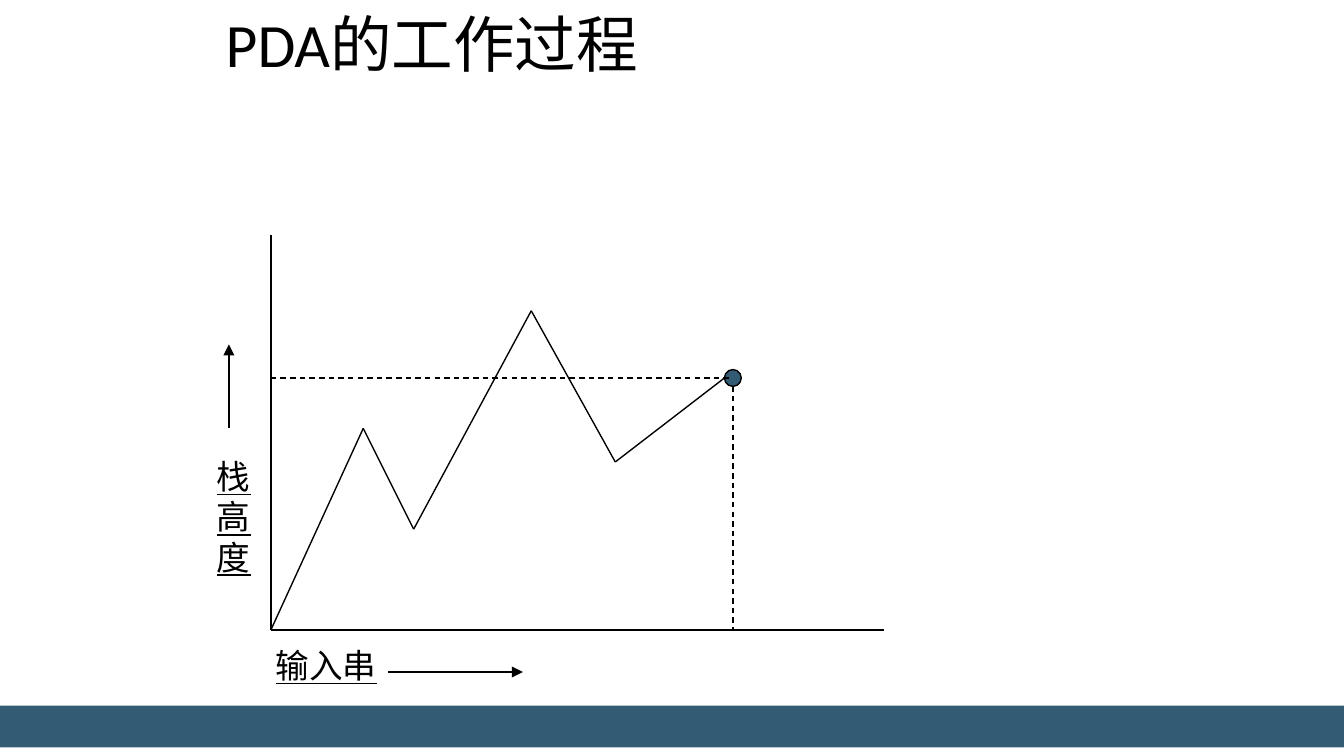
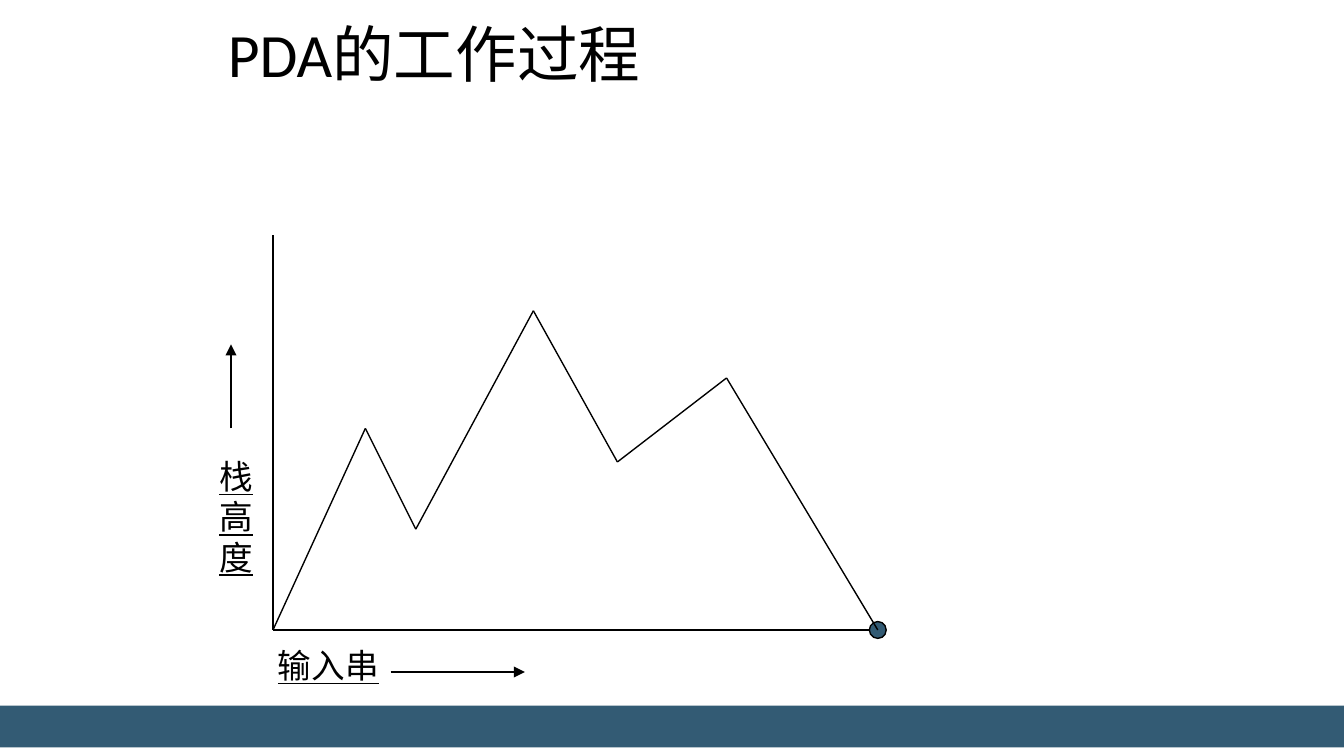
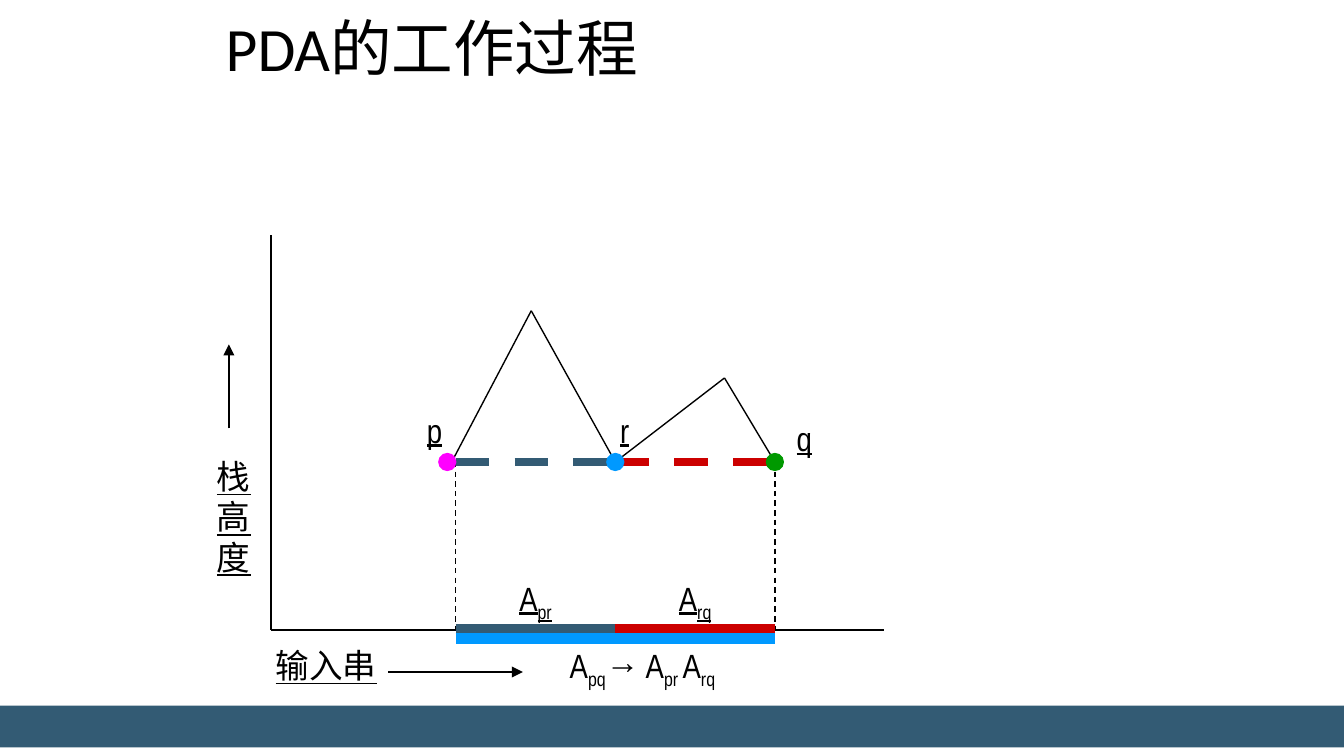
from itertools import pairwise

from lxml import etree
from pptx import Presentation
from pptx import util as u
from pptx.dml.color import RGBColor
from pptx.enum import dml, shapes, text
from pptx.oxml.ns import qn

BLACK = RGBColor(0x00, 0x00, 0x00)
NAVY = RGBColor(0x33, 0x5B, 0x74)
RED = RGBColor(0xCC, 0x00, 0x00)
BLUE = RGBColor(0x00, 0x99, 0xFF)
MAGENTA = RGBColor(0xFF, 0x00, 0xFF)
GREEN = RGBColor(0x00, 0x99, 0x00)

CELL = u.Inches(1) // 16
COLUMNS, ROWS = 160, 90
BASE_ROW = 75
LABEL_HEIGHT = 6.4
TITLE = "PDA的工作过程"

TITLE_FONT = {"name": "Calibri", "size": u.Pt(33)}
LABEL_FONT = {"name": "Arial Narrow", "size": u.Pt(18)}
TITLE_FRAME = {
    "margin_left": u.Inches(0.07), "margin_right": u.Inches(0.07),
    "margin_top": u.Inches(0.04), "margin_bottom": u.Inches(0.04),
    "vertical_anchor": text.MSO_ANCHOR.TOP,
    "auto_size": text.MSO_AUTO_SIZE.NONE, "word_wrap": True,
}
LABEL_FRAME = {"word_wrap": True, "auto_size": text.MSO_AUTO_SIZE.SHAPE_TO_FIT_TEXT}
TITLE_PARAGRAPH = {"alignment": text.PP_ALIGN.LEFT, "line_spacing": 0.9}


def cells(*counts):
    return [round(count * CELL) for count in counts]


def apply(target, values):
    for name, value in values.items():
        setattr(target, name, value)


def style_font(font, values):
    apply(font, values)
    font.color.rgb = BLACK


class Graph:
    def __init__(self, slide, origin_column):
        self.canvas = slide.shapes.add_group_shape().shapes
        self.origin_column = origin_column

    def place(self, across, up):
        return cells(self.origin_column + across, BASE_ROW - up)

    def line(self, start, end, color=BLACK, width=0.75, dashed=False, arrow=False):
        line = self.canvas.add_connector(
            shapes.MSO_CONNECTOR.STRAIGHT, *self.place(*start), *self.place(*end))
        line.line.color.rgb = color
        line.line.width = u.Pt(width)
        if dashed:
            line.line.dash_style = dml.MSO_LINE.DASH
        properties = line._element.spPr
        if arrow:
            etree.SubElement(properties.find(qn("a:ln")), qn("a:tailEnd"), type="triangle")
        etree.SubElement(properties, qn("a:effectLst"))

    def trace(self, points):
        for start, end in pairwise(points):
            self.line(start, end)

    def dot(self, center, fill, outline):
        across, up = center
        dot = self.canvas.add_shape(
            shapes.MSO_SHAPE.OVAL, *self.place(across - 1, up + 1), *cells(2, 2))
        dot.shadow.inherit = False
        dot.fill.solid()
        dot.fill.fore_color.rgb = fill
        dot.line.color.rgb = outline
        dot.line.width = u.Pt(0.75)

    def label(self, corner, width, *words, height=LABEL_HEIGHT, underline=True):
        frame = self.canvas.add_textbox(
            *self.place(*corner), *cells(width, height)).text_frame
        apply(frame, LABEL_FRAME)
        paragraph = frame.paragraphs[0]
        before = etree.SubElement(paragraph._p.get_or_add_pPr(), qn("a:spcBef"))
        etree.SubElement(before, qn("a:spcPct"), val="50000")
        for position, word in enumerate(words):
            run = paragraph.add_run()
            run.text = word
            style_font(run.font, LABEL_FONT | {"underline": underline})
            if position % 2:
                run.font._element.set("baseline", "-25000")

    def axes(self):
        self.line((0, 0), (73, 0))
        self.line((0, 0), (0, 47))
        self.label((-1, -1), 17, "输入串")
        self.label((-8, 21.5), 6, "栈高度", height=16.2)
        self.line((14, -5), (30, -5), arrow=True)
        self.line((-5, 24), (-5, 34), arrow=True)


def add_title(slide, column, row):
    title = slide.shapes.title
    left, top, width, height = cells(column, row, 108, 15)
    apply(title, {"left": left, "top": top, "width": width, "height": height})
    frame = title.text_frame
    frame.text = TITLE
    apply(frame, TITLE_FRAME)
    apply(frame.paragraphs[0], TITLE_PARAGRAPH)
    style_font(frame.paragraphs[0].runs[0].font, TITLE_FONT)


def add_band(slide):
    band = slide.shapes.add_shape(
        shapes.MSO_SHAPE.RECTANGLE, *cells(0, 84, COLUMNS, 5))
    band.shadow.inherit = False
    band.fill.solid()
    band.fill.fore_color.rgb = NAVY
    band.line.fill.background()


STACK_HEIGHTS = [(0, 0), (11, 24), (17, 12), (31, 38), (41, 20), (54, 30)]


def draw_midway(graph):
    head = (55, 30)
    graph.dot(head, NAVY, BLACK)
    graph.line((55, 29), (55, 0), dashed=True)
    graph.line((0, 30), head, dashed=True)
    graph.trace(STACK_HEIGHTS)


def draw_finished(graph):
    end = (72, 0)
    graph.dot(end, NAVY, BLACK)
    graph.trace(STACK_HEIGHTS + [end])


def draw_split(graph):
    level, p, r, q = 20, 22, 41, 60
    spans = [(p, r, NAVY), (r, q, RED)]
    graph.trace([(21, 19), (31, 38), (r, level), (54, 30), (q, level)])
    for start, end, color in spans:
        graph.line((start, level), (end, level), color, 4.5, dashed=True)
    for across in (p, q):
        graph.line((across, level), (across, 0), dashed=True)
    for across, color in ((p - 1, MAGENTA), (r, BLUE), (q, GREEN)):
        graph.dot((across, level), color, color)
    for state, corner in (("p", (17, 27)), ("r", (40, 27)), ("q", (61, 26))):
        graph.label(corner, 6, state)
    for up, colors in ((0, (NAVY, RED)), (-1, (BLUE, BLUE))):
        for (start, end, _), color in zip(spans, colors):
            graph.line((start, up), (end, up), color, 6)
    graph.label((28, 7), 8, "A", "pr")
    graph.label((47, 7), 8, "A", "rq")
    graph.label((34, -1), 22, "A", "pq", "→ A", "pr ", "A", "rq", underline=False)


def main():
    deck = Presentation()
    deck.slide_width, deck.slide_height = cells(COLUMNS, ROWS)
    pages = [(32.25, 1, draw_midway), (32.5, 2.25, draw_finished), (32.25, 1.5, draw_split)]
    for origin_column, title_row, draw in pages:
        slide = deck.slides.add_slide(deck.slide_layouts[5])
        add_title(slide, origin_column - 6.5, title_row)
        graph = Graph(slide, origin_column)
        graph.axes()
        draw(graph)
        add_band(slide)
    deck.save("out.pptx")


if __name__ == "__main__":
    main()
